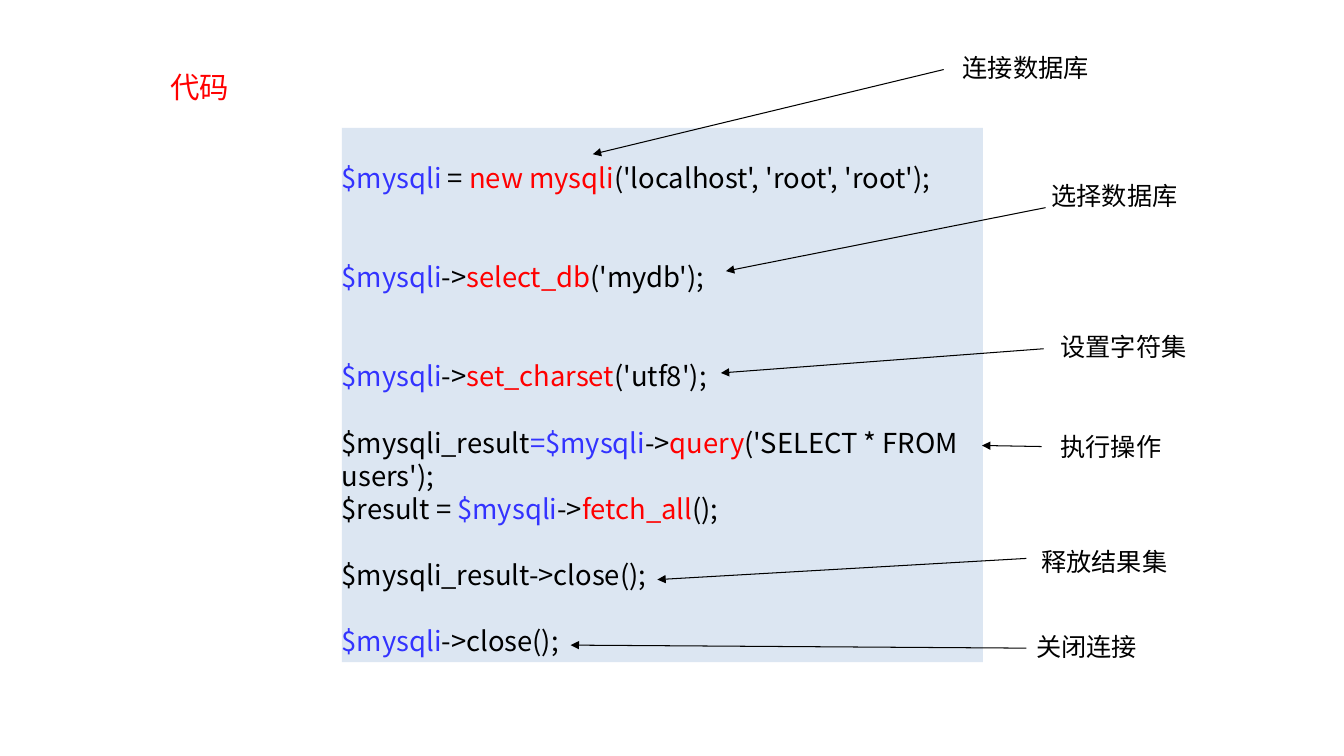
from lxml import etree
from pptx import Presentation
from pptx.dml.color import RGBColor
from pptx.enum.shapes import MSO_CONNECTOR, MSO_SHAPE
from pptx.enum.text import MSO_ANCHOR, PP_ALIGN
from pptx.oxml.ns import qn
from pptx.util import Inches, Pt

LINE, RECT = MSO_CONNECTOR.STRAIGHT, MSO_SHAPE.RECTANGLE
TOP, MID, LEFT = MSO_ANCHOR.TOP, MSO_ANCHOR.MIDDLE, PP_ALIGN.LEFT
BLACK = RGBColor(0, 0, 0)
RED = RGBColor(0xFF, 0, 0)
BLUE = RGBColor(0x33, 0x33, 0xFF)
PALE = RGBColor(0xDC, 0xE6, 0xF2)
FONT = "Noto Sans CJK SC"
SIZE, PITCH = 19.6, 23.6  # code text size and line pitch, points

# Code: empty lines above, then coloured parts
VAR = ("$mysqli", BLUE)
ARROW = ("->", BLACK)
CODE = [
    (1, [("$mysqli ", BLUE), ("= ", BLACK), ("new mysqli", RED),
         ("('localhost', 'root', 'root');", BLACK)]),
    (2, [VAR, ARROW, ("select_db", RED), ("('mydb');", BLACK)]),
    (2, [VAR, ARROW, ("set_charset", RED), ("('utf8');", BLACK)]),
    (1, [("$mysqli_result", BLACK), ("=$mysqli", BLUE), ARROW,
         ("query", RED), ("('SELECT * FROM users');", BLACK)]),
    (0, [("$result = ", BLACK), VAR, ARROW, ("fetch_all", RED),
         ("();", BLACK)]),
    (1, [("$mysqli_result->close();", BLACK)]),
    (1, [VAR, ("->close();", BLACK)]),
]

# Notes: text, left and top of its box, arrow start, arrow end
NOTES = [
    ("连接数据库", (9.45, 0.47), (9.36, 0.69), (5.88, 1.53)),
    ("选择数据库", (10.33, 1.74), (10.37, 2.06), (7.2, 2.69)),
    ("设置字符集", (10.42, 3.24), (10.35, 3.46), (7.15, 3.7)),
    ("执行操作", (10.42, 4.23), (10.33, 4.43), (9.74, 4.42)),
    ("释放结果集", (10.23, 5.37), (10.18, 5.54), (6.52, 5.75)),
    ("关闭连接", (10.18, 6.21), (10.18, 6.43), (5.66, 6.4)),
]

deck = Presentation()
deck.slide_width, deck.slide_height = Inches(13.33), Inches(7.5)
slide = deck.slides.add_slide(deck.slide_layouts[6])
shapes = slide.shapes


def style(run, size, color):
    font = run.font
    font.name, font.size = FONT, Pt(size)
    font.color.rgb = color
    face = etree.SubElement(run._r.get_or_add_rPr(), qn("a:ea"))
    face.set("typeface", FONT)


def label(text, left, top, wide, high, size, color, inset):
    box = shapes.add_textbox(*map(Inches, (left, top, wide, high)))
    frame = box.text_frame
    frame.text = text
    frame.word_wrap = True
    frame.vertical_anchor = MID
    frame.margin_left = frame.margin_right = Inches(inset)
    frame.margin_top = frame.margin_bottom = 0
    style(frame.paragraphs[0].runs[0], size, color)


def arrow(start, end):
    line = shapes.add_connector(LINE, *map(Inches, start + end))
    line.line.color.rgb = BLACK
    line.line.width = Pt(0.75)
    tip = etree.SubElement(line.line._get_or_add_ln(), qn("a:tailEnd"))
    tip.set("type", "triangle")
    etree.SubElement(line._element.spPr, qn("a:effectLst"))


# Code panel
panel = shapes.add_shape(RECT, *map(Inches, (3.39, 1.27, 6.36, 5.3)))
panel.shadow.inherit = False
panel.fill.solid()
panel.fill.fore_color.rgb = PALE
panel.line.fill.background()
frame = panel.text_frame
frame.word_wrap = True
frame.vertical_anchor = TOP
frame.margin_left = frame.margin_right = frame.margin_bottom = 0
frame.margin_top = Pt(CODE[0][0] * PITCH)
for i, (gap, parts) in enumerate(CODE):
    para = frame.add_paragraph() if i else frame.paragraphs[0]
    para.alignment = LEFT
    para.line_spacing = Pt(PITCH)
    para.space_before = Pt(gap * PITCH if i else 0)
    for text, color in parts:
        run = para.add_run()
        run.text = text
        style(run, SIZE, color)

# Title
label("代码", 1.69, 0.69, 1.54, 0.35, 21, RED, 0)

# Notes with their arrows
for text, spot, start, end in NOTES:
    arrow(start, end)
    label(text, *spot, 1.6, 0.4, 18, BLACK, 0.1)

deck.save("out.pptx")
